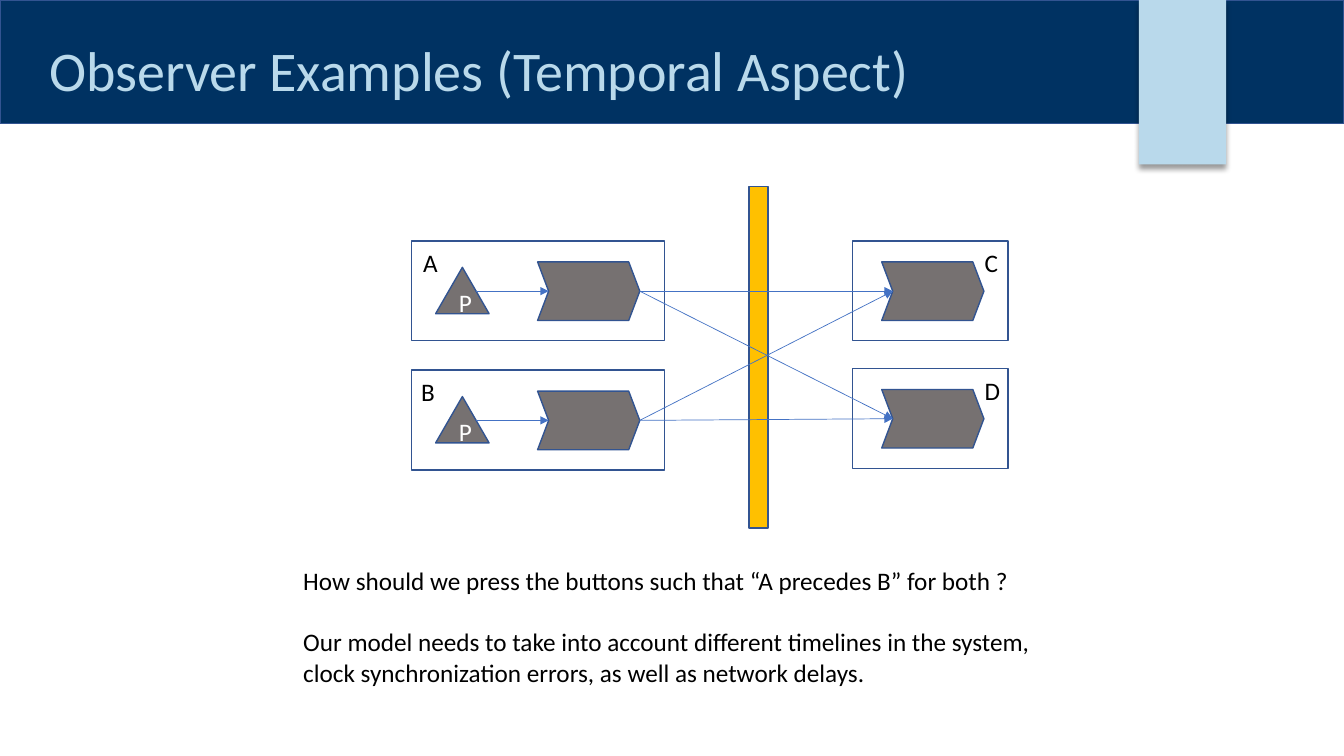
from pptx import Presentation
from pptx.dml.color import RGBColor
from pptx.enum.shapes import MSO_CONNECTOR, MSO_SHAPE as SHAPE
from pptx.enum.text import MSO_ANCHOR as ANCHOR, PP_ALIGN as ALIGN
from pptx.oxml import parse_xml
from pptx.oxml.ns import nsdecls
from pptx.util import Pt

NAVY = RGBColor(0x00, 0x32, 0x62)
SKY = RGBColor(0xB9, 0xD9, 0xEB)
OUTLINE = RGBColor(0x32, 0x54, 0x91)
ARROW = RGBColor(0x44, 0x72, 0xC4)
GRAY = RGBColor(0x76, 0x71, 0x71)
GOLD = RGBColor(0xFF, 0xC0, 0x00)
WHITE = RGBColor(0xFF, 0xFF, 0xFF)
BLACK = RGBColor(0x00, 0x00, 0x00)
FONT = "Calibri"

NODE_H = 71.3
CHEVRON_W, CHEVRON_H, NOTCH = 73, 41.8, 0.189
CHEVRON_DY = 15  # from node top to chevron top
MID_DY = CHEVRON_DY + CHEVRON_H / 2
NOTCH_DX = CHEVRON_H * NOTCH
SENDER_X, RECEIVER_X = 293.8, 609.1
SENDER_CHEVRON_X, RECEIVER_CHEVRON_X = 384, 629.8
BUTTON_X, BUTTON_W, BUTTON_H = 311.2, 38.2, 33.1
SENDERS = [("A", 295.2, 172.1), ("B", 293.8, 264.4)]
RECEIVERS = [("C", 696.2, 172.1), ("D", 696.2, 263.2)]


def style_text(tf, size, color):
    for p in tf.paragraphs:
        for r in p.runs:
            r.font.name = FONT
            r.font.size = Pt(size)
            r.font.color.rgb = color


def add_block(slide, kind, x, y, w, h, fill=None, line=OUTLINE):
    sp = slide.shapes.add_shape(kind, Pt(x), Pt(y), Pt(w), Pt(h))
    sp.shadow.inherit = False
    if fill is None:
        sp.fill.background()
    else:
        sp.fill.solid()
        sp.fill.fore_color.rgb = fill
    if line is None:
        sp.line.fill.background()
    else:
        sp.line.color.rgb = line
        sp.line.width = Pt(1)
    return sp


def add_text(slide, x, y, w, h, text, size=18, color=BLACK, wrap=True):
    tf = slide.shapes.add_textbox(Pt(x), Pt(y), Pt(w), Pt(h)).text_frame
    tf.word_wrap = wrap
    tf.text = text
    style_text(tf, size, color)
    return tf


def add_arrow(slide, x1, y1, x2, y2):
    cn = slide.shapes.add_connector(
        MSO_CONNECTOR.STRAIGHT, Pt(x1), Pt(y1), Pt(x2), Pt(y2))
    cn.line.color.rgb = ARROW
    cn.line.width = Pt(0.5)
    ln = cn.line._get_or_add_ln()
    ln.append(parse_xml(f'<a:tailEnd {nsdecls("a")} type="triangle"/>'))
    cn._element.spPr.append(parse_xml(f'<a:effectLst {nsdecls("a")}/>'))


def add_drop_shadow(sp):
    sp._element.spPr.find("{*}effectLst").append(parse_xml(
        f'<a:outerShdw {nsdecls("a")} blurRad="{Pt(4)}" dist="{Pt(3)}" '
        'dir="5400000" rotWithShape="0"><a:srgbClr val="000000">'
        '<a:alpha val="40000"/></a:srgbClr></a:outerShdw>'))


def add_node(slide, x, y, w, chevron_x):
    chevron = add_block(slide, SHAPE.CHEVRON, chevron_x, y + CHEVRON_DY,
                        CHEVRON_W, CHEVRON_H, GRAY)
    chevron.adjustments[0] = NOTCH
    add_block(slide, SHAPE.RECTANGLE, x, y, w, NODE_H)


def add_button(slide, y):
    sp = add_block(slide, SHAPE.ISOSCELES_TRIANGLE, BUTTON_X, y + 18.9,
                   BUTTON_W, BUTTON_H, GRAY)
    tf = sp.text_frame
    tf.text = "P"
    tf.vertical_anchor = ANCHOR.MIDDLE
    tf.paragraphs[0].alignment = ALIGN.CENTER
    style_text(tf, 18, WHITE)
    add_arrow(slide, BUTTON_X + 0.75 * BUTTON_W, y + MID_DY,
              SENDER_CHEVRON_X + NOTCH_DX, y + MID_DY)


def add_header(slide):
    add_block(slide, SHAPE.RECTANGLE, 0, 0, 960, 88.3, NAVY)
    tf = add_text(slide, 28.1, 10.8, 756.7, 67,
                  "Observer Examples (Temporal Aspect)", 40, SKY)
    tf.vertical_anchor = ANCHOR.BOTTOM
    tf.paragraphs[0].line_spacing = 0.9
    tab = add_block(slide, SHAPE.RECTANGLE, 813.6, 0, 62.2, 117.4, SKY, None)
    add_drop_shadow(tab)


def add_diagram(slide):
    # Sending and receiving nodes
    for _, _, y in SENDERS:
        add_node(slide, SENDER_X, y, 181, SENDER_CHEVRON_X)
        add_button(slide, y)
    for _, _, y in RECEIVERS:
        add_node(slide, RECEIVER_X, y, 111, RECEIVER_CHEVRON_X)

    # Network barrier, crossed by an arrow for each pair of nodes
    add_block(slide, SHAPE.RECTANGLE, 535, 133.2, 13.7, 244.1, GOLD)
    for _, _, y1 in SENDERS:
        for _, _, y2 in RECEIVERS:
            add_arrow(slide, SENDER_CHEVRON_X + CHEVRON_W, y1 + MID_DY,
                      RECEIVER_CHEVRON_X + NOTCH_DX, y2 + MID_DY)

    # Node names
    for name, x, y in SENDERS + RECEIVERS:
        add_text(slide, x, y + 1, 25, 29, name, wrap=False)


def add_question(slide):
    tf = add_text(
        slide, 209.5, 400.5, 540.7, 94.3,
        "How should we press the buttons such that “A precedes B” for both ?\n"
        "Our model needs to take into account different timelines in the "
        "system, clock synchronization errors, as well as network delays.")
    tf.paragraphs[1].space_before = Pt(22)


def main():
    prs = Presentation()
    prs.slide_width, prs.slide_height = Pt(960), Pt(540)
    slide = prs.slides.add_slide(prs.slide_layouts[6])
    add_header(slide)
    add_diagram(slide)
    add_question(slide)
    prs.save("out.pptx")


if __name__ == "__main__":
    main()
